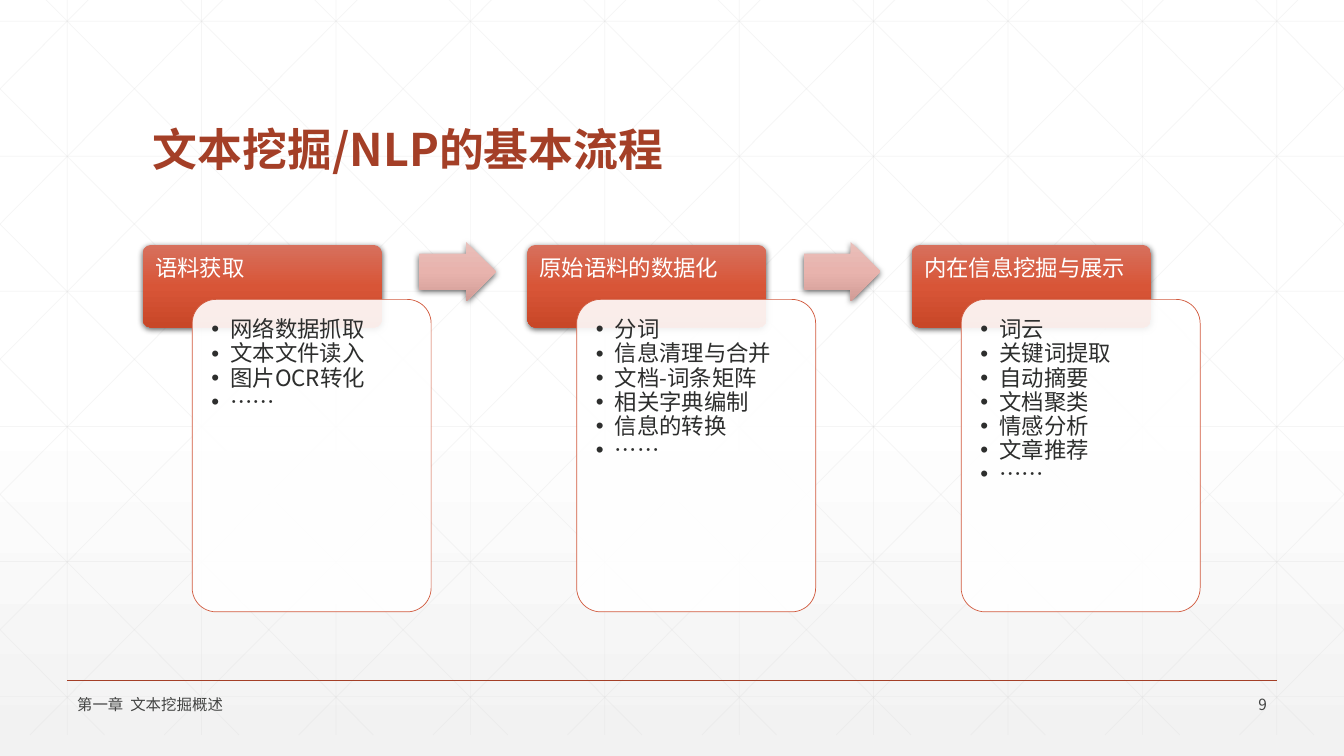
"""Build a slide showing the basic text mining flow in three stages."""
from dataclasses import dataclass

from lxml.etree import SubElement
from pptx import Presentation
from pptx.dml.color import RGBColor
from pptx.dml.fill import FillFormat
from pptx.enum.shapes import MSO_CONNECTOR, MSO_SHAPE
from pptx.enum.text import MSO_ANCHOR, PP_ALIGN
from pptx.oxml.ns import qn
from pptx.shapes.autoshape import Shape
from pptx.text.text import TextFrame
from pptx.util import Emu, Inches, Pt

FONT = "Noto Sans CJK SC"
RUST = "A43F27"
GREY = "424342"
HEAD = [(0, "D7705D"), (50, "D85537"), (100, "C84728")]
PINK = [(0, "E9BFBA"), (50, "E8B3AD"), (100, "D19C96")]
BACK = [(0, "FFFFFF"), (53, "FFFFFF"), (100, "F2F2F2")]
PITCH = 28.61


@dataclass
class Box:
    """Left, top, width and height as percent of the slide's size."""
    x: float
    y: float
    w: float
    h: float

    def shift(self, step: int) -> "Box":
        return Box(self.x + step * PITCH, self.y, self.w, self.h)

    def area(self) -> tuple[Emu, Emu, Emu, Emu]:
        return across(self.x), down(self.y), across(self.w), down(self.h)


@dataclass
class Stage:
    """A heading and the tasks listed beneath it."""
    name: str
    tasks: list[str]


@dataclass
class Label:
    """Loose text with its place and look."""
    text: str
    box: Box
    size: float
    tint: str
    bold: bool = False
    align: PP_ALIGN = PP_ALIGN.LEFT
    anchor: MSO_ANCHOR = MSO_ANCHOR.MIDDLE


TITLE_BOX = Box(10.63, 7.33, 78.75, 16.67)
HEAD_BOX = Box(10.63, 32.4, 17.78, 10.93)
CARD_BOX = Box(14.3, 39.6, 17.78, 41.33)
ARROW_BOX = Box(31.2, 32, 5.7, 7.87)
STAGES = [
    Stage("语料获取", ["网络数据抓取", "文本文件读入", "图片OCR转化", "……"]),
    Stage("原始语料的数据化", ["分词", "信息清理与合并", "文档-词条矩阵",
                       "相关字典编制", "信息的转换", "……"]),
    Stage("内在信息挖掘与展示", ["词云", "关键词提取", "自动摘要", "文档聚类",
                        "情感分析", "文章推荐", "……"]),
]
LABELS = [
    Label("文本挖掘/NLP的基本流程", TITLE_BOX, 32, RUST, True, anchor=MSO_ANCHOR.BOTTOM),
    Label("第一章  文本挖掘概述", Box(5, 91.73, 50.25, 3.2), 11, GREY),
    Label("9", Box(87.5, 91.73, 7.5, 3.2), 11, GREY, align=PP_ALIGN.RIGHT),
]

deck = Presentation()
deck.slide_width, deck.slide_height = Inches(13.33), Inches(7.5)
slide = deck.slides.add_slide(deck.slide_layouts[6])


def across(share: float) -> Emu:
    return Emu(round(deck.slide_width * share / 100))


def down(share: float) -> Emu:
    return Emu(round(deck.slide_height * share / 100))


def rgb(code: str) -> RGBColor:
    return RGBColor.from_string(code)


def fade(root, share: int) -> None:
    hue = next(root.iter(qn("a:srgbClr")))
    SubElement(hue, qn("a:alpha"), val=str(share * 1000))


def blend(fill: FillFormat, root, stops: list[tuple[int, str]]) -> None:
    fill.gradient()
    fill.gradient_angle = 270
    ramp = next(root.iter(qn("a:gsLst")))
    for old in list(ramp):
        ramp.remove(old)
    for place, code in stops:
        stop = SubElement(ramp, qn("a:gs"), pos=str(place * 1000))
        SubElement(stop, qn("a:srgbClr"), val=code)


def write(frame: TextFrame, lines: list[str], size: float, tint: str,
          bold: bool = False, space: float = 0.9) -> None:
    frame.word_wrap = True
    frame.text = "\n".join(lines)
    for para in frame.paragraphs:
        para.alignment = PP_ALIGN.LEFT
        para.line_spacing = space
        for run in para.runs:
            font = run.font
            font.name, font.size, font.bold = FONT, Pt(size), bold
            font.color.rgb = rgb(tint)
            SubElement(font._element, qn("a:ea"), typeface=FONT)


def inset(frame: TextFrame, gap: float) -> None:
    frame.vertical_anchor = MSO_ANCHOR.TOP
    frame.margin_left = frame.margin_right = Inches(gap)
    frame.margin_top = frame.margin_bottom = Inches(gap)


def bullet(frame: TextFrame) -> None:
    for para in frame.paragraphs:
        props = para._p.get_or_add_pPr()
        props.set("marL", str(Inches(0.19)))
        props.set("indent", str(-Inches(0.19)))
        SubElement(props, qn("a:buFont"), typeface="Arial")
        SubElement(props, qn("a:buChar"), char="•")


def stroke(x1: float, y1: float, x2: float, y2: float, tint: str = "D9D9D9",
           width: float = 0.5, share: int = 25) -> None:
    line = slide.shapes.add_connector(
        MSO_CONNECTOR.STRAIGHT, across(x1), down(y1), across(x2), down(y2))
    line.line.color.rgb, line.line.width = rgb(tint), Pt(width)
    fade(line._element.spPr, share)
    SubElement(line._element.spPr, qn("a:effectLst"))


def mesh() -> None:
    top, foot, run = -2.8, 97.2, 55.9
    for col in range(10):
        stroke(5 + 10 * col, top, 5 + 10 * col, foot)
    for row in range(6):
        stroke(0, 2.8 + 17.87 * row, 100, 2.8 + 17.87 * row)
    for step in range(-5, 10):
        start = 1.87 + 10 * step
        left, right = max(start, 0), min(start + run, 100)
        high, low = (top + 100 * (x - start) / run for x in (left, right))
        stroke(left, high, right, low)
        stroke(100 - left, high, 100 - right, low)


def raised(kind: MSO_SHAPE, box: Box, stops: list[tuple[int, str]]) -> Shape:
    shape = slide.shapes.add_shape(kind, *box.area())
    blend(shape.fill, shape._element, stops)
    shape.line.fill.background()
    shape.shadow.inherit = False
    glow = SubElement(next(shape._element.iter(qn("a:effectLst"))), qn("a:outerShdw"),
                      blurRad=str(Pt(4.5)), dist=str(Pt(1.5)), dir="5400000", rotWithShape="0")
    SubElement(glow, qn("a:srgbClr"), val="000000")
    fade(glow, 63)
    return shape


def panel(stage: Stage, step: int) -> None:
    head = raised(MSO_SHAPE.ROUNDED_RECTANGLE, HEAD_BOX.shift(step), HEAD)
    head.adjustments[0] = 0.1
    write(head.text_frame, [stage.name], 16, "FFFFFF")
    inset(head.text_frame, 0.1)
    card = slide.shapes.add_shape(MSO_SHAPE.ROUNDED_RECTANGLE, *CARD_BOX.shift(step).area())
    card.adjustments[0] = 0.1
    card.shadow.inherit = False
    card.fill.solid()
    card.fill.fore_color.rgb = rgb("FFFFFF")
    fade(card._element.spPr, 90)
    card.line.color.rgb, card.line.width = rgb("D15A3E"), Pt(0.5)
    write(card.text_frame, stage.tasks, 16, "2D2E2D")
    inset(card.text_frame, 0.12)
    bullet(card.text_frame)


def caption(label: Label) -> None:
    frame = slide.shapes.add_textbox(*label.box.area()).text_frame
    write(frame, [label.text], label.size, label.tint, label.bold)
    frame.vertical_anchor = label.anchor
    frame.paragraphs[0].alignment = label.align


blend(slide.background.fill, slide._element, BACK)
mesh()
stroke(5, 90, 95, 90, RUST, 1, 100)
for step, stage in enumerate(STAGES):
    panel(stage, step)
    if step < len(STAGES) - 1:
        raised(MSO_SHAPE.RIGHT_ARROW, ARROW_BOX.shift(step), PINK).adjustments[0] = 0.6
for label in LABELS:
    caption(label)
deck.save("out.pptx")
